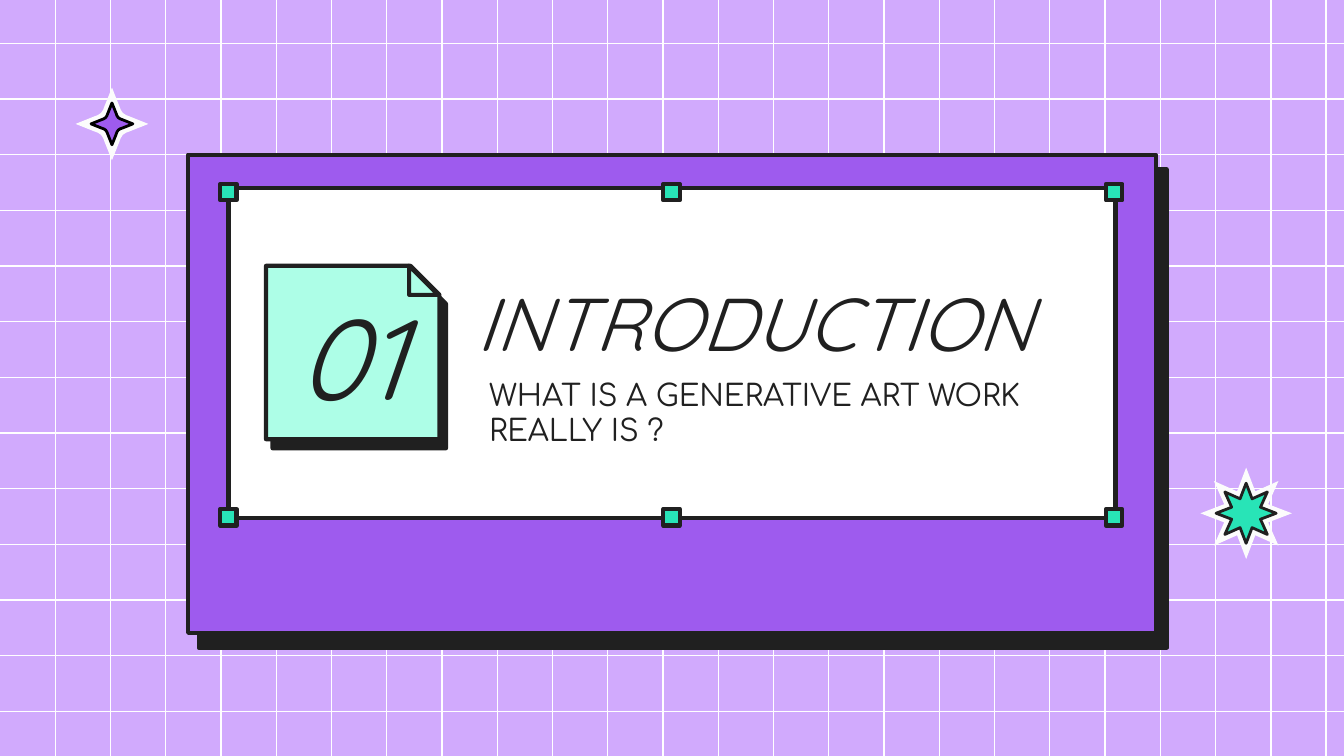
"""Build the section slide with a grid, a framed title and two stars."""
from dataclasses import dataclass
from itertools import product

from lxml.etree import SubElement
from pptx import Presentation
from pptx.dml.color import RGBColor
from pptx.enum.shapes import MSO_CONNECTOR, MSO_SHAPE
from pptx.enum.text import MSO_ANCHOR, PP_ALIGN
from pptx.oxml.ns import qn
from pptx.util import Pt


@dataclass(frozen=True)
class Theme:
    back: str = "D1AAFD"
    grid: str = "FFFFFF"
    ink: str = "202020"
    black: str = "000000"
    panel: str = "9E5BEE"
    paper: str = "FFFFFF"
    halo: str = "FCFCFC"
    note: str = "ADFEE7"
    accent: str = "28E4B7"
    head_font: str = "Quicksand"
    body_font: str = "Comfortaa"
    title_size: float = 40
    number_size: float = 61
    body_size: float = 16
    line: float = 2.25
    thin: float = 1.5
    hair: float = 0.75


T = Theme()
W, H = 720, 405
ROWS = (13, 23.2, 29.82)
COLUMNS = (24, 29.6, 29.6)
PANELS = [
    (MSO_SHAPE.RECTANGLE, (100.8, 82.9, 518.4, 256.2), T.panel, 9.8),
    (MSO_SHAPE.RECTANGLE, (122.4, 100.8, 475.2, 176.6), T.paper, 0),
    (MSO_SHAPE.SNIP_1_RECTANGLE, (142.5, 142.4, 92.9, 92.9), T.note, 6),
    (MSO_SHAPE.RIGHT_TRIANGLE, (219.2, 142.4, 15.6, 15.6), T.note, 0),
]
TEXTS = [
    ("WHAT IS A GENERATIVE ART WORK REALLY IS ?", (254.9, 194.4, 315.4, 42.5),
     T.body_font, T.body_size, False, PP_ALIGN.LEFT, MSO_ANCHOR.TOP),
    ("INTRODUCTION", (248.4, 139, 355.7, 66.2),
     T.head_font, T.title_size, True, PP_ALIGN.LEFT, MSO_ANCHOR.MIDDLE),
    ("01", (136.8, 146.2, 101.5, 74.9),
     T.head_font, T.number_size, True, PP_ALIGN.CENTER, MSO_ANCHOR.TOP),
]
HANDLE = 8.8
HANDLE_X, HANDLE_Y = (122.4, 359.8, 596.9), (103, 277.2)
BURST = (667.6, 275)
BURST_LAYERS = [(24.5, T.halo, None), (16.1, T.accent, T.ink)]
SPARK = (60, 66.4)
SPARK_LAYERS = [(19.5, T.halo, None), (11.2, T.panel, T.black)]
SPARK_ARM = [(0, -1), (0.2, -0.5), (0.24, -0.39), (0.3, -0.3), (0.39, -0.24), (0.5, -0.2)]


def rgb(color):
    return RGBColor.from_string(color)


def paint(sp, fill, line=None, width=T.line):
    sp.shadow.inherit = False
    sp.fill.solid()
    sp.fill.fore_color.rgb = rgb(fill)
    if line is None:
        sp.line.fill.background()
        return
    sp.line.color.rgb = rgb(line)
    sp.line.width = Pt(width)
    SubElement(sp.line._get_or_add_ln(), qn("a:round"))


def add_shape(s, kind, box, fill, line=T.ink, width=T.line):
    sp = s.shapes.add_shape(kind, *map(Pt, box))
    paint(sp, fill, line, width)
    return sp


def cast_shadow(sp, dist):
    effects = sp._element.spPr.find(qn("a:effectLst"))
    shadow = SubElement(effects, qn("a:outerShdw"), dist=str(int(Pt(dist))),
                        dir=str(54 * 60000), algn="bl", rotWithShape="0")
    SubElement(shadow, qn("a:srgbClr"), val=T.ink)


def add_line(s, x1, y1, x2, y2):
    cn = s.shapes.add_connector(MSO_CONNECTOR.STRAIGHT, *map(Pt, (x1, y1, x2, y2)))
    cn.line.color.rgb = rgb(T.grid)
    cn.line.width = Pt(T.hair)
    SubElement(cn._element.spPr, qn("a:effectLst"))


def add_text(s, text, box, font, size, italic, align, anchor):
    tf = s.shapes.add_textbox(*map(Pt, box)).text_frame
    tf.word_wrap = True
    tf.vertical_anchor = anchor
    tf.margin_left = tf.margin_right = tf.margin_top = tf.margin_bottom = Pt(7.2)
    p = tf.paragraphs[0]
    p.text = text
    p.alignment = align
    p.font.name = font
    p.font.size = Pt(size)
    p.font.italic = italic
    p.font.color.rgb = rgb(T.ink)


def add_spark(s, center, radius, fill, line):
    points, arm = [], SPARK_ARM
    for _ in range(4):
        points += arm
        arm = [(-y, x) for x, y in arm]
    cx, cy = center
    points = [(Pt(cx + radius * x), Pt(cy + radius * y)) for x, y in points]
    fb = s.shapes.build_freeform(*points[0])
    fb.add_line_segments(points[1:], close=True)
    paint(fb.convert_to_shape(), fill, line, T.thin)


def main():
    prs = Presentation()
    prs.slide_width, prs.slide_height = Pt(W), Pt(H)
    s = prs.slides.add_slide(prs.slide_layouts[6])
    s.background.fill.solid()
    s.background.fill.fore_color.rgb = rgb(T.back)

    count, start, step = ROWS
    for i in range(count):
        add_line(s, 0, start + i * step, W, start + i * step)
    count, start, step = COLUMNS
    for i in range(count):
        add_line(s, start + i * step, 0, start + i * step, H)

    for kind, box, fill, dist in PANELS:
        sp = add_shape(s, kind, box, fill)
        if dist:
            cast_shadow(sp, dist)
    for item in TEXTS:
        add_text(s, *item)
    for x, y in product(HANDLE_X, HANDLE_Y):
        add_shape(s, MSO_SHAPE.RECTANGLE,
                  (x - HANDLE / 2, y - HANDLE / 2, HANDLE, HANDLE), T.accent)

    for radius, fill, line in BURST_LAYERS:
        box = (BURST[0] - radius, BURST[1] - radius, 2 * radius, 2 * radius)
        sp = add_shape(s, MSO_SHAPE.STAR_8_POINT, box, fill, line, T.thin)
        sp.adjustments[0] = 0.26
    for layer in SPARK_LAYERS:
        add_spark(s, SPARK, *layer)
    prs.save("out.pptx")


if __name__ == "__main__":
    main()
